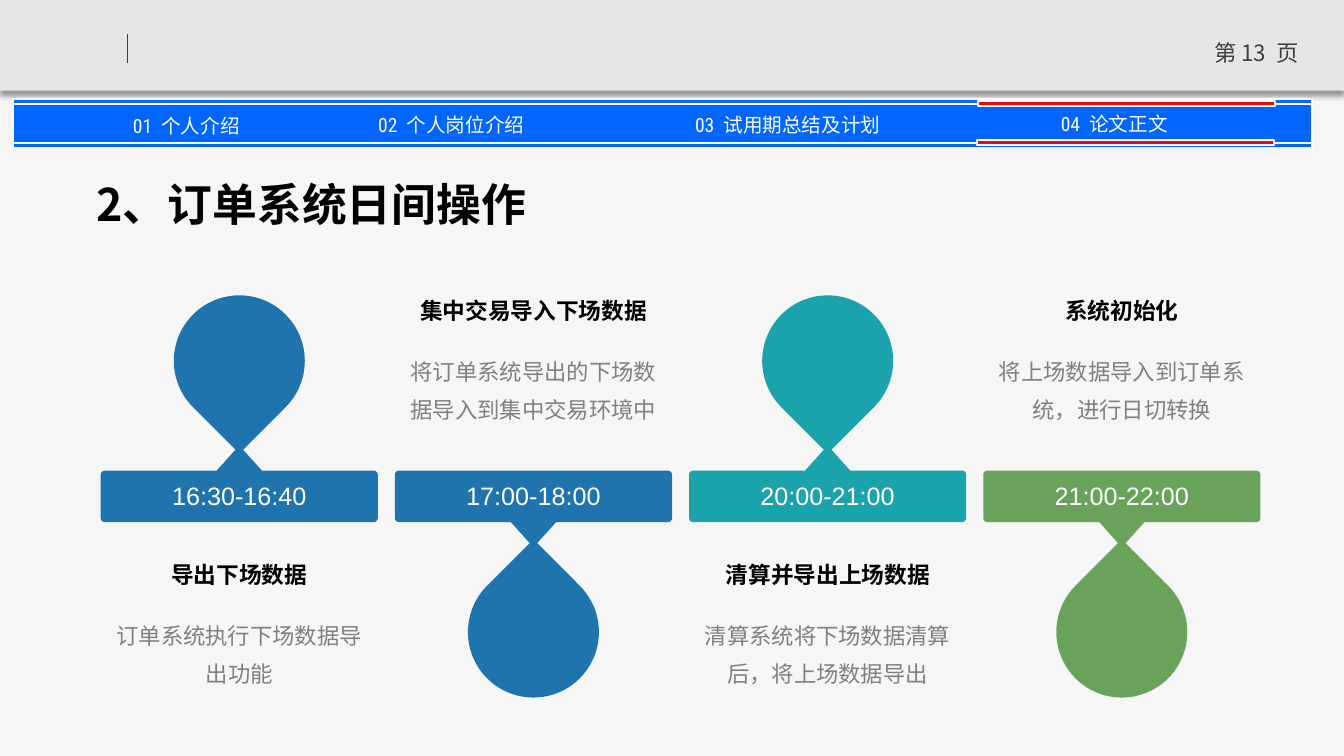
import math

from lxml import etree
from pptx import Presentation
from pptx.dml.color import RGBColor
from pptx.enum.shapes import MSO_CONNECTOR, MSO_SHAPE
from pptx.enum.text import MSO_ANCHOR, PP_ALIGN
from pptx.oxml.ns import qn
from pptx.util import Inches, Pt

RECTANGLE, TEARDROP = MSO_SHAPE.RECTANGLE, MSO_SHAPE.TEAR
STRAIGHT = MSO_CONNECTOR.STRAIGHT
LEFT, CENTER = PP_ALIGN.LEFT, PP_ALIGN.CENTER
TOP, MIDDLE = MSO_ANCHOR.TOP, MSO_ANCHOR.MIDDLE

PAPER = RGBColor(0xF6, 0xF6, 0xF6)
HEADER_GRAY = RGBColor(0xE6, 0xE6, 0xE6)
DARK_GRAY = RGBColor(0x40, 0x40, 0x40)
TEXT_GRAY = RGBColor(0x80, 0x80, 0x80)
BLACK = RGBColor(0, 0, 0)
WHITE = RGBColor(0xFF, 0xFF, 0xFF)
NAV_BLUE = RGBColor(0, 0x66, 0xFF)
RED = RGBColor(0xFF, 0, 0)
BLUE = RGBColor(0x1F, 0x74, 0xAD)
TEAL = RGBColor(0x1A, 0xA3, 0xAA)
GREEN = RGBColor(0x69, 0xA3, 0x5B)

CJK = "Noto Sans CJK SC"
LABEL_FONT = "Roboto Condensed"
TIME_FONT = "Arial"

NAV_LABELS = [
    ("01  个人介绍", 0.48, 0.15),
    ("02  个人岗位介绍", 3.11, 0.14),
    ("03  试用期总结及计划", 6.45, 0.14),
    ("04  论文正文", 9.69, 0.13),
]
STEPS = [
    ("16:30-16:40", "导出下场数据", "订单系统执行下场数据导出功能", BLUE),
    ("17:00-18:00", "集中交易导入下场数据", "将订单系统导出的下场数据导入到集中交易环境中", BLUE),
    ("20:00-21:00", "清算并导出上场数据", "清算系统将下场数据清算后，将上场数据导出", TEAL),
    ("21:00-22:00", "系统初始化", "将上场数据导入到订单系统，进行日切转换", GREEN),
]
STEP_WIDTH, STEP_PITCH = 2.75, 2.92
BAR_TOP, BAR_HEIGHT = 1.74, 0.51
DROP_SIZE = 1.3

NAV_STYLE = {"size": Pt(14), "name": LABEL_FONT}
PAGE_STYLE = {"size": Pt(16), "name": CJK}
TITLE_STYLE = {"size": Pt(32), "name": CJK, "bold": True}
HEADING_STYLE = {"size": Pt(16.2), "name": CJK, "bold": True}
DETAIL_STYLE = {"size": Pt(16), "name": CJK}
TIME_STYLE = {"size": Pt(18), "name": TIME_FONT}


def add_text(page, box, text, style, color, align=CENTER, anchor=TOP, inset=None, spacing=None):
    """Place one paragraph of styled text in a box given in inches."""
    frame = page.shapes.add_textbox(*map(Inches, box)).text_frame
    frame.word_wrap = True
    frame.vertical_anchor = anchor
    if inset is not None:
        for side in ("left", "top", "right", "bottom"):
            setattr(frame, f"margin_{side}", Inches(inset))
    para = frame.paragraphs[0]
    para.alignment = align
    if spacing:
        para.line_spacing = spacing
        para.space_before = Pt(10)
    span = para.add_run()
    span.text = text
    for name, value in style.items():
        setattr(span.font, name, value)
    span.font.color.rgb = color
    east_asian = etree.SubElement(span.font._element, qn("a:ea"))
    east_asian.set("typeface", CJK)


def paint(shape, fill, line=None):
    """Give a shape a flat fill and an optional outline."""
    shape.shadow.inherit = False
    shape.fill.solid()
    shape.fill.fore_color.rgb = fill
    if line is None:
        shape.line.fill.background()
    else:
        shape.line.color.rgb = line
        shape.line.width = Pt(1.5)


def add_block(page, kind, box, fill, line=None):
    """Add a painted preset shape in a box given in inches."""
    shape = page.shapes.add_shape(kind, *map(Inches, box))
    paint(shape, fill, line)
    return shape


def add_header(page, left, top, width, height):
    """Draw the gray header with its shadow, divider and page number."""
    band = add_block(page, RECTANGLE, (left, top, width, height), HEADER_GRAY)
    effects = band._element.spPr.find(qn("a:effectLst"))
    shadow = etree.SubElement(effects, qn("a:outerShdw"), blurRad=str(Pt(4)),
                              dist=str(Pt(3)), dir="5400000", algn="t", rotWithShape="0")
    tint = etree.SubElement(shadow, qn("a:srgbClr"), val="000000")
    etree.SubElement(tint, qn("a:alpha"), val="40000")
    divider_x = Inches(left + 1.27)
    divider = page.shapes.add_connector(
        STRAIGHT, divider_x, Inches(top + 0.34), divider_x, Inches(top + 0.63))
    divider.line.color.rgb = DARK_GRAY
    divider.line.width = Pt(0.75)
    etree.SubElement(divider._element.spPr, qn("a:effectLst"))
    add_text(page, (left + width - 1.47, top + 0.34, 1.2, 0.4), "第 13  页", PAGE_STYLE, DARK_GRAY)


def add_navigation(page, left, top, width):
    """Draw the blue navigation bar with its edge strips and labels."""
    for offset, height in ((0.05, 0.43), (0.44, 0.05), (0, 0.05)):
        add_block(page, RECTANGLE, (left, top + offset, width, height), NAV_BLUE, WHITE)
    for label, x, y in NAV_LABELS:
        add_text(page, (left + x, top + y, 2.48, 0.24), label, NAV_STYLE, WHITE,
                 anchor=MIDDLE, inset=0)
    for x, y in ((9.58, 0.02), (9.57, 0.41)):
        add_block(page, RECTANGLE, (left + x, top + y, 2.95, 0.05), RED, WHITE)


def add_time_bar(page, left, top, width, height, color, upward):
    """Draw a rounded bar with a pointer on its upper or lower edge."""
    radius, half_base, rise = 0.04, 0.225, 0.25
    middle, right, bottom = left + width / 2, left + width, top + height
    corners = [
        (right - radius, top + radius, -90),
        (right - radius, bottom - radius, 0),
        (left + radius, bottom - radius, 90),
        (left + radius, top + radius, 180),
    ]
    arcs = [
        [(x + radius * math.cos(math.radians(start + step)),
          y + radius * math.sin(math.radians(start + step))) for step in range(0, 91, 15)]
        for x, y, start in corners
    ]
    if upward:
        pointer = [(middle - half_base, top), (middle, top - rise), (middle + half_base, top)]
        points = pointer + sum(arcs, [])
    else:
        pointer = [(middle + half_base, bottom), (middle, bottom + rise),
                   (middle - half_base, bottom)]
        points = sum(arcs[:2], []) + pointer + sum(arcs[2:], [])
    outline = [(Inches(x), Inches(y)) for x, y in points]
    builder = page.shapes.build_freeform(*outline[0])
    builder.add_line_segments(outline[1:], close=True)
    paint(builder.convert_to_shape(), color)


def add_step(page, left, top, step, upward):
    """Draw one timeline step: drop, time bar, heading and detail."""
    time, heading, detail, color = step
    drop_top, heading_top = (0, 2.66) if upward else (2.69, 0.04)
    drop_left = left + (STEP_WIDTH - DROP_SIZE) / 2
    drop = add_block(page, TEARDROP, (drop_left, top + drop_top, DROP_SIZE, DROP_SIZE), color)
    drop.rotation = 135 if upward else 315
    add_time_bar(page, left, top + BAR_TOP, STEP_WIDTH, BAR_HEIGHT, color, upward)
    heading_y = top + heading_top
    add_text(page, (left, heading_y + 0.43, STEP_WIDTH, 0.86), detail, DETAIL_STYLE,
             TEXT_GRAY, spacing=1.4)
    add_text(page, (left, heading_y, STEP_WIDTH, 0.37), heading, HEADING_STYLE,
             BLACK, spacing=0.7)
    add_text(page, (left + 0.54, top + 1.82, 1.67, 0.4), time, TIME_STYLE, WHITE, spacing=0.9)


def add_timeline(page, left, top):
    """Place the steps at an equal pitch with drops alternately above and below."""
    for index, step in enumerate(STEPS):
        add_step(page, left + index * STEP_PITCH, top, step, index % 2 == 0)


def main():
    """Build the slide and save the deck."""
    deck = Presentation()
    deck.slide_width, deck.slide_height = Inches(13.34), Inches(7.5)
    page = deck.slides.add_slide(deck.slide_layouts[6])
    page.background.fill.solid()
    page.background.fill.fore_color.rgb = PAPER
    add_header(page, 0, 0, 13.34, 0.9)
    add_navigation(page, 0.13, 0.98, 12.89)
    add_text(page, (0.86, 1.7, 11.36, 1.0), "2、订单系统日间操作", TITLE_STYLE, BLACK, align=LEFT)
    add_timeline(page, 1, 2.93)
    deck.save("out.pptx")


if __name__ == "__main__":
    main()
